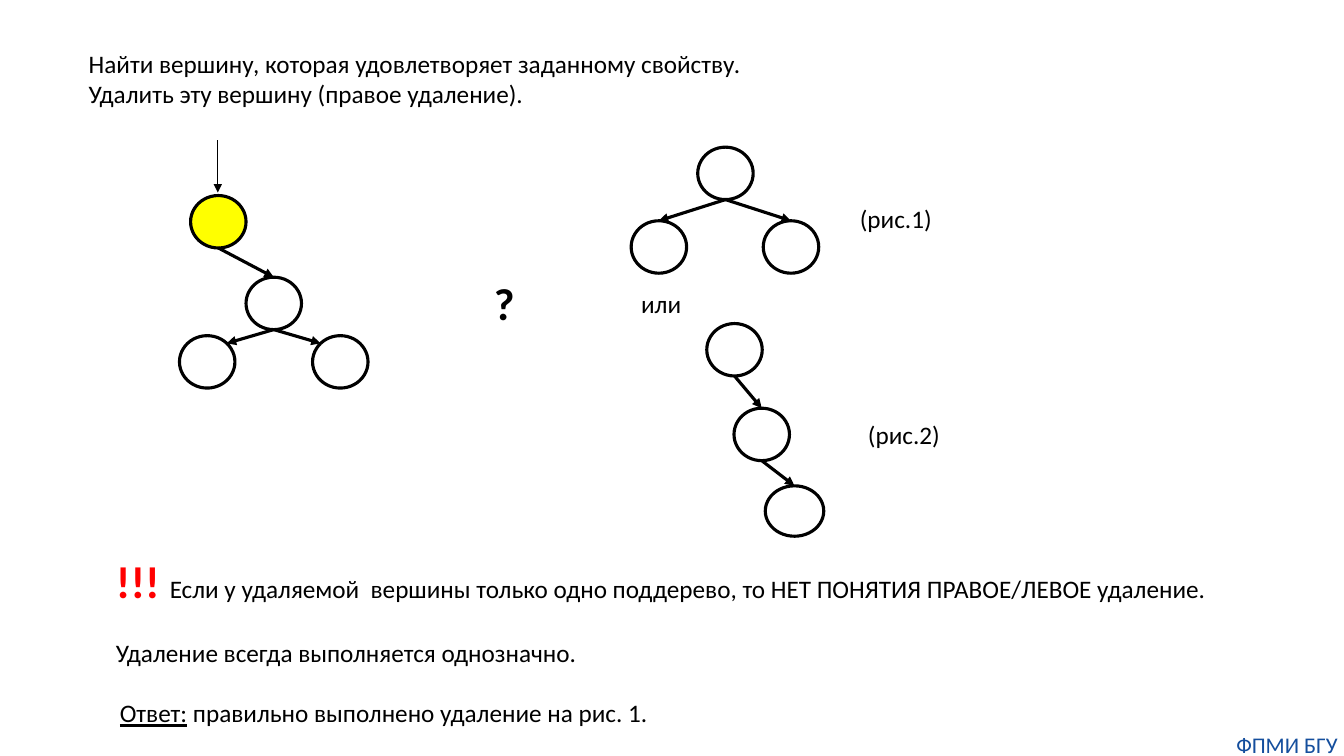
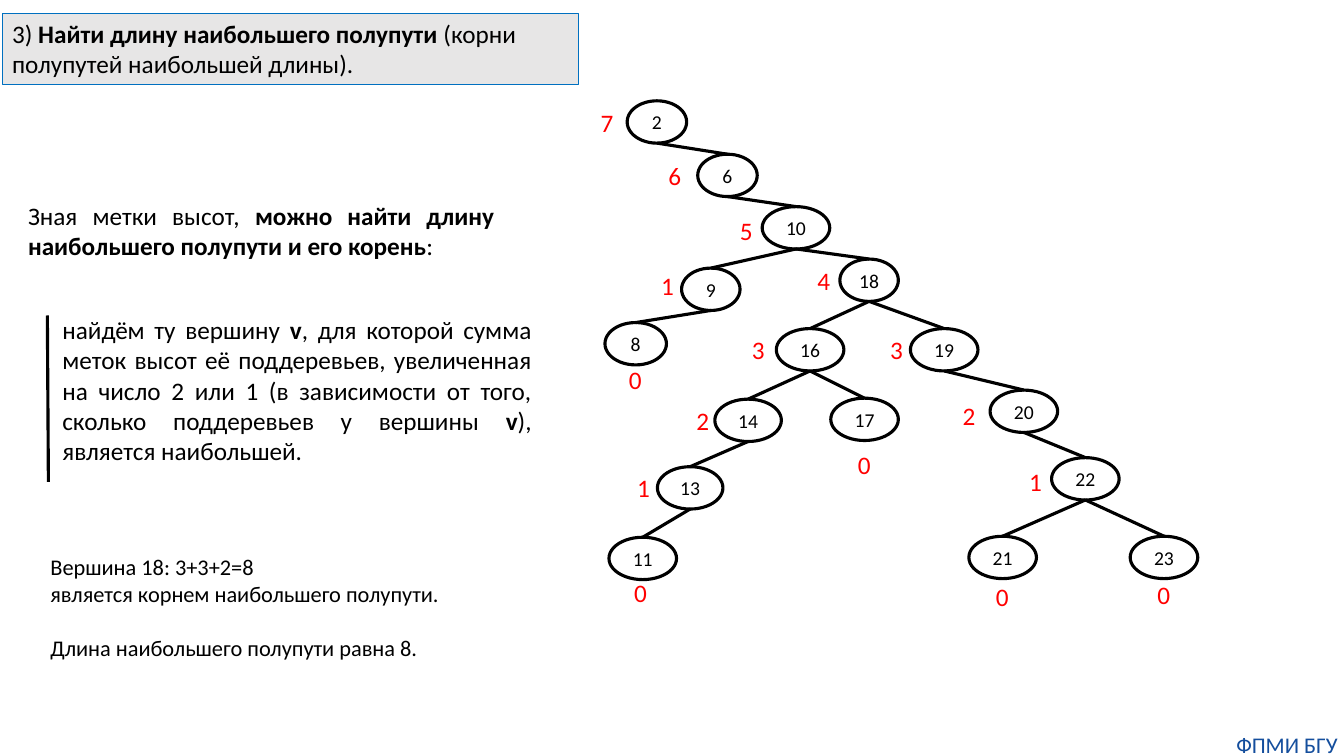
from dataclasses import dataclass
from math import sqrt
from typing import Optional

from lxml import etree
from pptx import Presentation
from pptx.dml.color import RGBColor
from pptx.enum.shapes import MSO_CONNECTOR, MSO_SHAPE
from pptx.enum.text import MSO_ANCHOR, MSO_AUTO_SIZE, PP_ALIGN
from pptx.oxml.ns import qn
from pptx.util import Inches, Pt

BLACK = RGBColor(0x00, 0x00, 0x00)
WHITE = RGBColor(0xFF, 0xFF, 0xFF)
RED = RGBColor(0xFF, 0x00, 0x00)
YELLOW = RGBColor(0xFF, 0xFF, 0x00)
GREY = RGBColor(0xE7, 0xE6, 0xE6)
BLUE = RGBColor(0x00, 0x70, 0xC0)
FOOTER_BLUE = RGBColor(0x14, 0x4E, 0x9D)

LEFT, CENTER, JUSTIFY = PP_ALIGN.LEFT, PP_ALIGN.CENTER, PP_ALIGN.JUSTIFY
TOP, MIDDLE = MSO_ANCHOR.TOP, MSO_ANCHOR.MIDDLE
OVAL, RECTANGLE = MSO_SHAPE.OVAL, MSO_SHAPE.RECTANGLE
STRAIGHT = MSO_CONNECTOR.STRAIGHT
NO_AUTOFIT = MSO_AUTO_SIZE.NONE

FONT = "Calibri"
STROKE = 2.25
BOLD = {"bold": True}


@dataclass
class Node:
    left: float
    top: float
    width: float = 0.55
    height: float = 0.52
    parent: Optional[str] = None
    text: str = ""
    fill: Optional[RGBColor] = None
    to_corner: bool = False  # the incoming edge ends on the upper flank

    @property
    def center(self):
        return self.left + self.width / 2


# ---- text ----
def write(frame, paras, size=18, color=BLACK, align=LEFT, gaps=()):
    """Fill a frame; each paragraph is a list of (text, style) runs."""
    frame.auto_size = NO_AUTOFIT
    for index, runs in enumerate(paras):
        para = frame.paragraphs[0] if index == 0 else frame.add_paragraph()
        para.alignment = align
        para.space_before = Pt(gaps[index] if gaps else 0)
        for text, style in runs:
            span = para.add_run()
            span.text = text
            span.font.name = FONT
            span.font.size = Pt(style.get("size", size))
            span.font.color.rgb = style.get("color", color)
            span.font.bold = style.get("bold", False)
            span.font.underline = style.get("underline", False)


def place(shape, left, top, width, height):
    shape.left, shape.top = Inches(left), Inches(top)
    shape.width, shape.height = Inches(width), Inches(height)


def add_title(page, box, paras):
    title = page.shapes.title
    place(title, *box)
    title.text_frame.vertical_anchor = TOP
    write(title.text_frame, paras)
    return title


def add_body(page, box, paras, size, gaps):
    body = page.placeholders[1]
    place(body, *box)
    write(body.text_frame, paras, size, gaps=gaps)
    for para in body.text_frame.paragraphs:
        properties = para._p.get_or_add_pPr()
        properties.set("marL", "0")
        properties.set("indent", "0")
        etree.SubElement(properties, qn("a:buNone"))


def add_text(page, box, paras, wrap=True, **style):
    text_box = page.shapes.add_textbox(*map(Inches, box))
    text_box.text_frame.word_wrap = wrap
    write(text_box.text_frame, paras, **style)
    return text_box


def add_footer(page):
    footer = add_text(page, (12.2, 7.25, 1.13, 0.27), [[("ФПМИ БГУ", {})]],
                      size=16, color=FOOTER_BLUE, align=CENTER)
    frame = footer.text_frame
    frame.margin_left = frame.margin_right = 0
    frame.margin_top = frame.margin_bottom = 0


# ---- trees ----
def add_shape(page, kind, box, fill=None, outlined=True):
    shape = page.shapes.add_shape(kind, *map(Inches, box))
    shape.shadow.inherit = False
    if fill is None:
        shape.fill.background()
    else:
        shape.fill.solid()
        shape.fill.fore_color.rgb = fill
    if outlined:
        shape.line.color.rgb = BLACK
        shape.line.width = Pt(STROKE)
    else:
        shape.line.fill.background()
    return shape


def add_line(page, start, end, width=STROKE, arrow=False):
    line = page.shapes.add_connector(STRAIGHT, *map(Inches, (*start, *end)))
    line.line.color.rgb = BLACK
    line.line.width = Pt(width)
    properties = line.element.spPr
    if arrow:
        etree.SubElement(properties.find(qn("a:ln")), qn("a:tailEnd"), type="triangle")
    etree.SubElement(properties, qn("a:effectLst"))


def add_node(page, left, top, node):
    box = (left + node.left, top + node.top, node.width, node.height)
    oval = add_shape(page, OVAL, box, node.fill)
    if node.text:
        oval.text_frame.vertical_anchor = MIDDLE
        write(oval.text_frame, [[(node.text, {})]], size=14, align=CENTER)


def add_tree(page, left, top, nodes, arrows=False):
    """Draw nodes, then edges from each parent's bottom to its child."""
    for node in nodes.values():
        add_node(page, left, top, node)
    for node in nodes.values():
        if node.parent is None:
            continue
        parent = nodes[node.parent]
        end_x, end_y = node.center, node.top
        if node.to_corner:
            side = 1 if parent.center > node.center else -1
            end_x += side * node.width / 2 / sqrt(2)
            end_y += node.height / 2 * (1 - 1 / sqrt(2))
        add_line(page, (left + parent.center, top + parent.top + parent.height),
                 (left + end_x, top + end_y), arrow=arrows)


# ---- slide: deleting a vertex ----
def build_deletion(page):
    add_title(page, (0.78, 0.43, 6.8, 0.71), [
        [("Найти вершину, которая удовлетворяет заданному свойству.", {})],
        [("Удалить эту вершину (правое удаление).", {})],
    ])

    # Tree before deletion, with the marked root
    add_line(page, (2.16, 1.39), (2.16, 1.91), width=0.5, arrow=True)
    add_tree(page, 1.78, 1.94, {
        "root": Node(0.11, 0, fill=YELLOW),
        "child": Node(0.66, 0.81, parent="root"),
        "left": Node(0, 1.39, parent="child", to_corner=True),
        "right": Node(1.32, 1.39, parent="child", to_corner=True),
    }, arrows=True)

    # Two possible results
    add_tree(page, 6.26, 1.46, {
        "root": Node(0.66, 0),
        "left": Node(0, 0.73, parent="root"),
        "right": Node(1.31, 0.73, parent="root"),
    }, arrows=True)
    add_tree(page, 7.01, 3.21, {
        "root": Node(0, 0),
        "child": Node(0.27, 0.84, parent="root"),
        "leaf": Node(0.58, 1.61, 0.58, 0.5, parent="child"),
    }, arrows=True)

    # Captions
    add_text(page, (4.8, 2.69, 0.77, 0.64), [[("?", BOLD)]], size=32)
    for text, left, top in (("(рис.1)", 8.43, 1.97), ("или", 6.26, 2.81),
                            ("(рис.2)", 8.51, 4.11)):
        add_text(page, (left, top, 0.92, 0.4), [[(text, {})]], wrap=False)

    # Conclusion
    add_body(page, (1.05, 5.44, 11.18, 1.25), [
        [("!!! ", {"size": 32, "color": RED, "bold": True}),
         ("Если у удаляемой  вершины только одно поддерево, "
          "то НЕТ ПОНЯТИЯ ПРАВОЕ/ЛЕВОЕ удаление.", {})],
        [("Удаление всегда выполняется однозначно.", {})],
    ], size=18, gaps=(0, 21.5))
    add_text(page, (1.09, 6.87, 5.63, 0.4), [
        [("Ответ:", {"underline": True}),
         (" правильно выполнено удаление на рис. 1.", {})],
    ], wrap=False)
    add_footer(page)


# ---- slide: longest semipath ----
# value, parent, left, top, width, height label, label left, label top
HEIGHT_TREE = (
    ("2", None, 0.22, 0, 0.59, "7", -0.14, 0.02),
    ("6", "2", 0.92, 0.53, 0.59, "6", 0.53, 0.54),
    ("10", "6", 1.56, 1.05, 0.67, "5", 1.24, 1.09),
    ("9", "10", 0.76, 1.66, 0.58, "1", 0.46, 1.63),
    ("8", "9", 0, 2.2, 0.61, "0", 0.14, 2.57),
    ("18", "10", 2.33, 1.57, 0.58, "4", 2.01, 1.58),
    ("16", "18", 1.7, 2.26, 0.67, "3", 1.36, 2.27),
    ("14", "16", 1.09, 2.96, 0.66, "2", 0.81, 2.97),
    ("13", "14", 0.52, 3.63, 0.65, "1", 0.22, 3.64),
    ("11", "13", 0.04, 4.33, 0.67, "0", 0.19, 4.68),
    ("17", "16", 2.24, 2.95, 0.67, "0", 2.41, 3.41),
    ("19", "18", 3.03, 2.26, 0.67, "3", 2.73, 2.27),
    ("20", "19", 3.82, 2.87, 0.67, "2", 3.45, 2.92),
    ("22", "20", 4.43, 3.54, 0.67, "1", 4.11, 3.58),
    ("21", "22", 3.61, 4.32, 0.67, "0", 3.78, 4.72),
    ("23", "22", 5.21, 4.32, 0.67, "0", 5.38, 4.7),
)


def add_height_label(page, left, top, text):
    label = add_shape(page, RECTANGLE, (left, top, 0.33, 0.4), WHITE, outlined=False)
    label.text_frame.word_wrap = False
    label.text_frame.vertical_anchor = TOP
    write(label.text_frame, [[(text, {})]], color=RED)


def add_height_tree(page, left, top):
    nodes = {}
    for value, parent, x, y, width, label, label_x, label_y in HEIGHT_TREE:
        nodes[value] = Node(x, y, width, 0.42, parent, value, WHITE)
        add_height_label(page, left + label_x, top + label_y, label)
    add_tree(page, left, top, nodes)


def build_semipath(page):
    title = add_title(page, (0.02, 0.13, 5.72, 0.71), [
        [("3) ", {}), ("Найти длину наибольшего полупути ", BOLD),
         ("(корни полупутей наибольшей длины).", {})],
    ])
    title.fill.solid()
    title.fill.fore_color.rgb = GREY
    title.line.color.rgb = BLUE
    title.line.width = Pt(0.75)

    # Rule for finding the root
    add_text(page, (0.18, 1.94, 4.82, 0.71), [
        [("Зная метки высот, ", {}),
         ("можно найти длину наибольшего полупути и его корень", BOLD),
         (":", {})],
    ], align=JUSTIFY)
    add_text(page, (0.52, 3.07, 4.85, 1.62), [
        [("найдём ту вершину ", {}), ("v", BOLD),
         (", для которой сумма меток высот её поддеревьев, увеличенная "
          "на число 2 или 1 (в зависимости от того, сколько поддеревьев "
          "у вершины ", {}),
         ("v", BOLD), ("), является наибольшей.", {})],
    ], align=JUSTIFY)
    add_line(page, (0.47, 3.13), (0.48, 4.78))

    # Answer
    add_body(page, (0.4, 5.44, 4.7, 1.48), [
        [("Вершина 18: 3+3+2=8", {})],
        [("является корнем наибольшего полупути.", {})],
        [("Длина наибольшего полупути равна 8.", {})],
    ], size=16, gaps=(0, 0, 19))

    add_height_tree(page, 6, 1)
    add_footer(page)


def main():
    deck = Presentation()
    deck.slide_width, deck.slide_height = Inches(13.33), Inches(7.5)
    for build in (build_deletion, build_semipath):
        build(deck.slides.add_slide(deck.slide_layouts[1]))
    deck.save("out.pptx")


if __name__ == "__main__":
    main()
